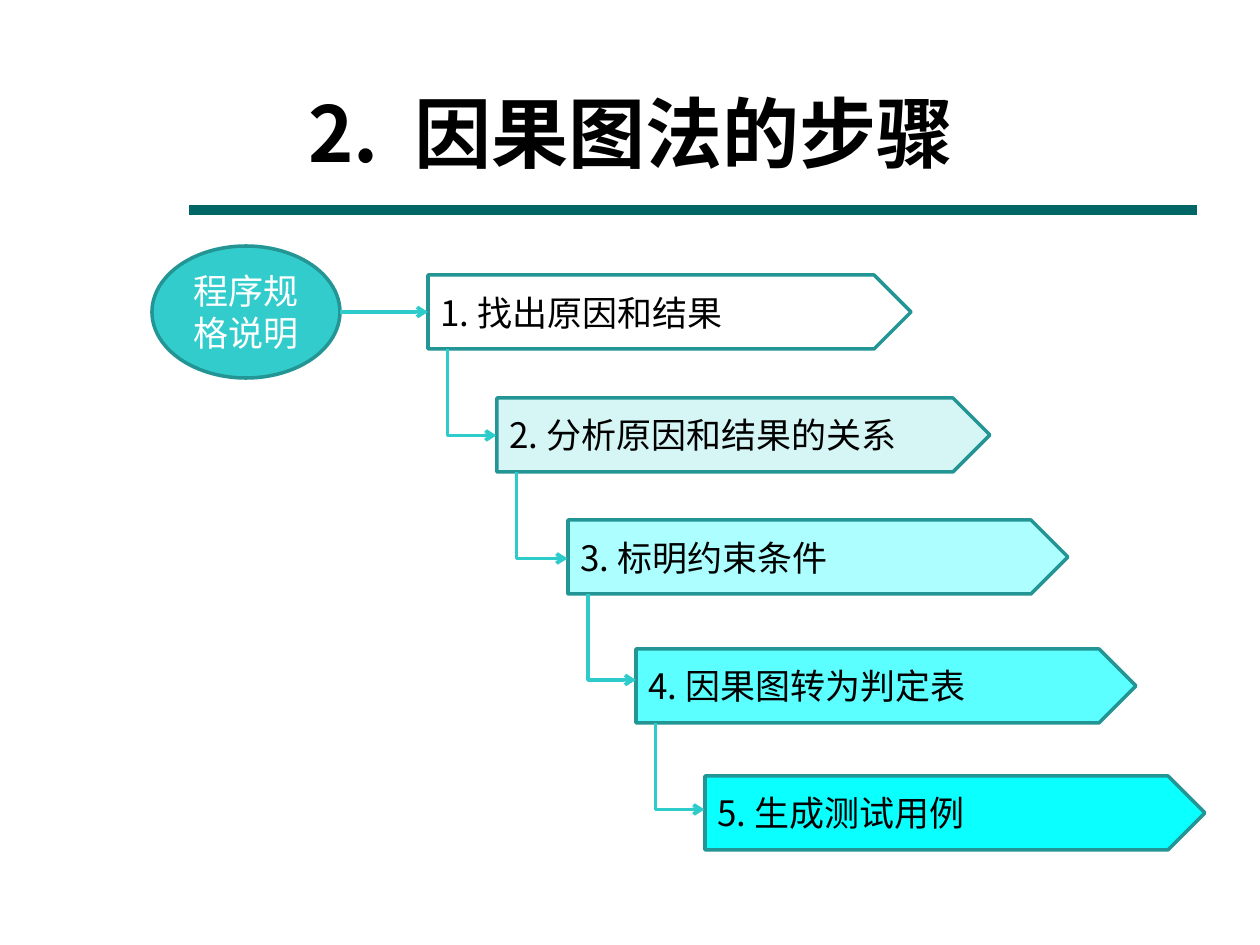
from lxml.etree import SubElement
from pptx import Presentation
from pptx.dml.color import RGBColor
from pptx.enum.shapes import MSO_CONNECTOR as Connector, MSO_SHAPE as Shape
from pptx.enum.text import MSO_ANCHOR as Anchor, PP_ALIGN as Align
from pptx.oxml.ns import qn
from pptx.util import Emu, Pt

TITLE = "2.  因果图法的步骤"
SOURCE = "程序规格说明"
STEPS = [
    ("1. 找出原因和结果", "FFFFFF", 428, 275, 483),
    ("2. 分析原因和结果的关系", "D6F5F5", 497, 398, 493),
    ("3. 标明约束条件", "ADFFFF", 568, 520, 500),
    ("4. 因果图转为判定表", "5CFFFF", 636, 649, 500),
    ("5. 生成测试用例", "0AFFFF", 705, 776, 500),
]
STEP_HEIGHT = 74
STEM_INSET = 20
STEM_DROP = 86
SOURCE_BOX = (152, 246, 188, 132)
TITLE_BOX = (237, 79, 788, 106)
RULE = (189, 210, 1197, 210)
BORDER, LINK, RULE_COLOR = "239595", "2ECBCB", "006666"
BODY_FONT, TITLE_FONT = "Noto Sans CJK SC", "Noto Sans CJK JP"


def px(*values):
    return [Emu(value * 914400 // 126) for value in values]


def color(value):
    return RGBColor.from_string(value)


def write(shape, text, size=20, font=BODY_FONT, ink="000000", bold=False,
          align=Align.LEFT, anchor=Anchor.MIDDLE):
    frame = shape.text_frame
    frame.word_wrap = True
    frame.vertical_anchor = anchor
    paragraph = frame.paragraphs[0]
    paragraph.alignment = align
    run = paragraph.add_run()
    run.text = text
    run.font.size = Pt(size)
    run.font.bold = bold
    run.font.color.rgb = color(ink)
    run.font.name = font
    SubElement(run.font._element, qn("a:ea"), typeface=font)


def add_box(slide, kind, box, fill, text, **text_format):
    shape = slide.shapes.add_shape(kind, *px(*box))
    shape.shadow.inherit = False
    shape.fill.solid()
    shape.fill.fore_color.rgb = color(fill)
    shape.line.color.rgb = color(BORDER)
    shape.line.width = Pt(2)
    write(shape, text, **text_format)


def add_line(slide, ends, stroke=LINK, width=2, arrow=True):
    connector = slide.shapes.add_connector(Connector.STRAIGHT, *px(*ends))
    connector.line.color.rgb = color(stroke)
    connector.line.width = Pt(width)
    if arrow:
        SubElement(connector.line._get_or_add_ln(), qn("a:tailEnd"), type="arrow")
    SubElement(connector._element.spPr, qn("a:effectLst"))
    return connector


def add_down_right_arrow(slide, left, top, right, bottom):
    width, height = right - left, bottom - top
    shift = (width - height) // 2
    connector = add_line(slide, (left + shift, top - shift,
                                 left + shift + height, top - shift + width))
    properties = connector._element.spPr
    properties.find(qn("a:prstGeom")).set("prst", "bentConnector2")
    transform = properties.find(qn("a:xfrm"))
    transform.set("rot", "16200000")
    transform.set("flipH", "1")


presentation = Presentation()
presentation.slide_width, presentation.slide_height = px(1260, 945)
slide = presentation.slides.add_slide(presentation.slide_layouts[6])

add_line(slide, RULE, RULE_COLOR, 6, arrow=False)
title = slide.shapes.add_textbox(*px(*TITLE_BOX))
write(title, TITLE, size=44, font=TITLE_FONT, bold=True,
      align=Align.CENTER, anchor=Anchor.TOP)

for text, fill, left, top, width in STEPS:
    add_box(slide, Shape.PENTAGON, (left, top, width, STEP_HEIGHT), fill, text)
add_box(slide, Shape.OVAL, SOURCE_BOX, "33CCCC", SOURCE,
        ink="FFFFFF", align=Align.CENTER)

first_left, first_top = STEPS[0][2:4]
first_middle = first_top + STEP_HEIGHT // 2
add_line(slide, (SOURCE_BOX[0] + SOURCE_BOX[2], first_middle, first_left, first_middle))
for step, following in zip(STEPS, STEPS[1:]):
    left, bottom = step[2], step[3] + STEP_HEIGHT
    add_down_right_arrow(slide, left + STEM_INSET, bottom,
                         following[2], bottom + STEM_DROP)

presentation.save("out.pptx")
